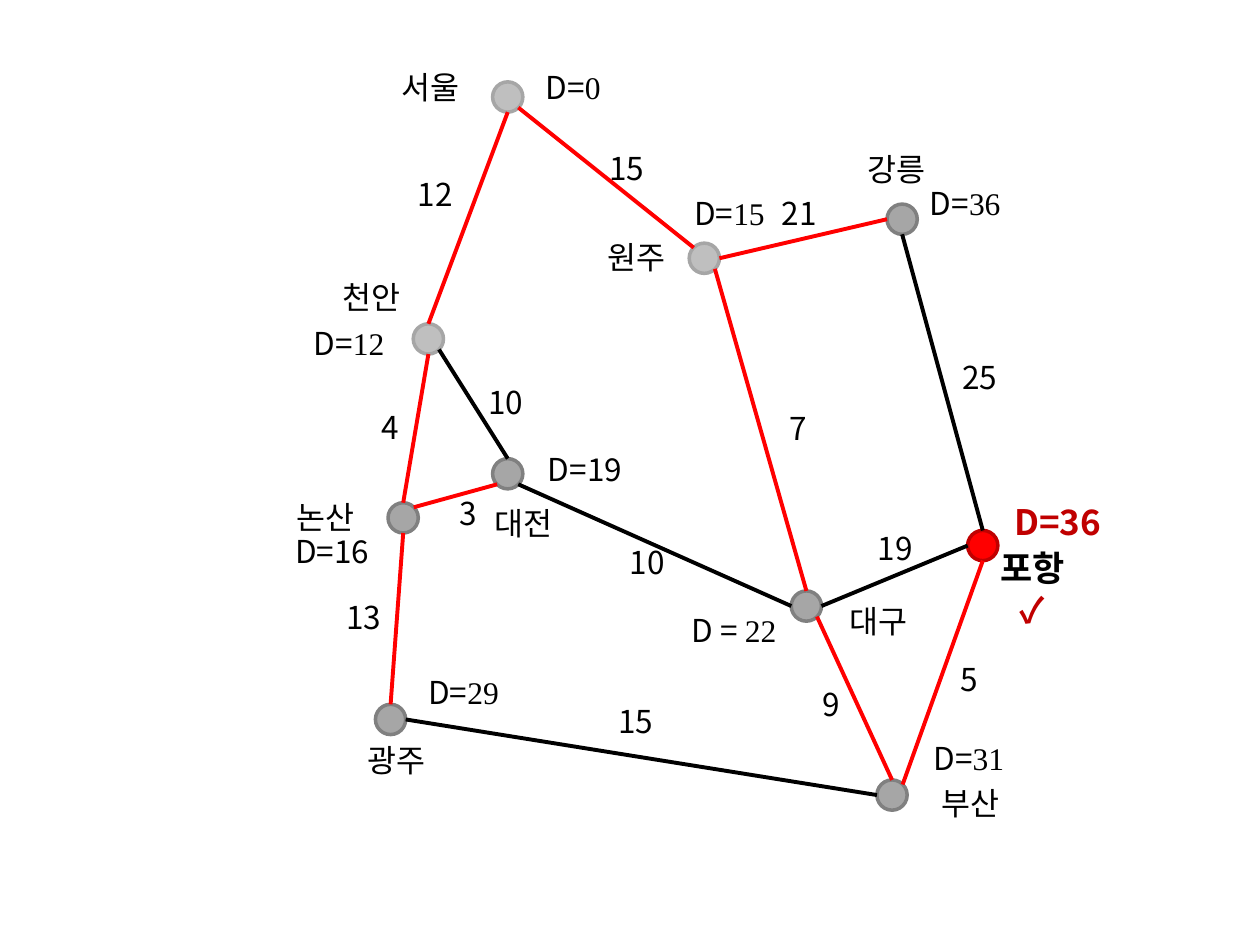
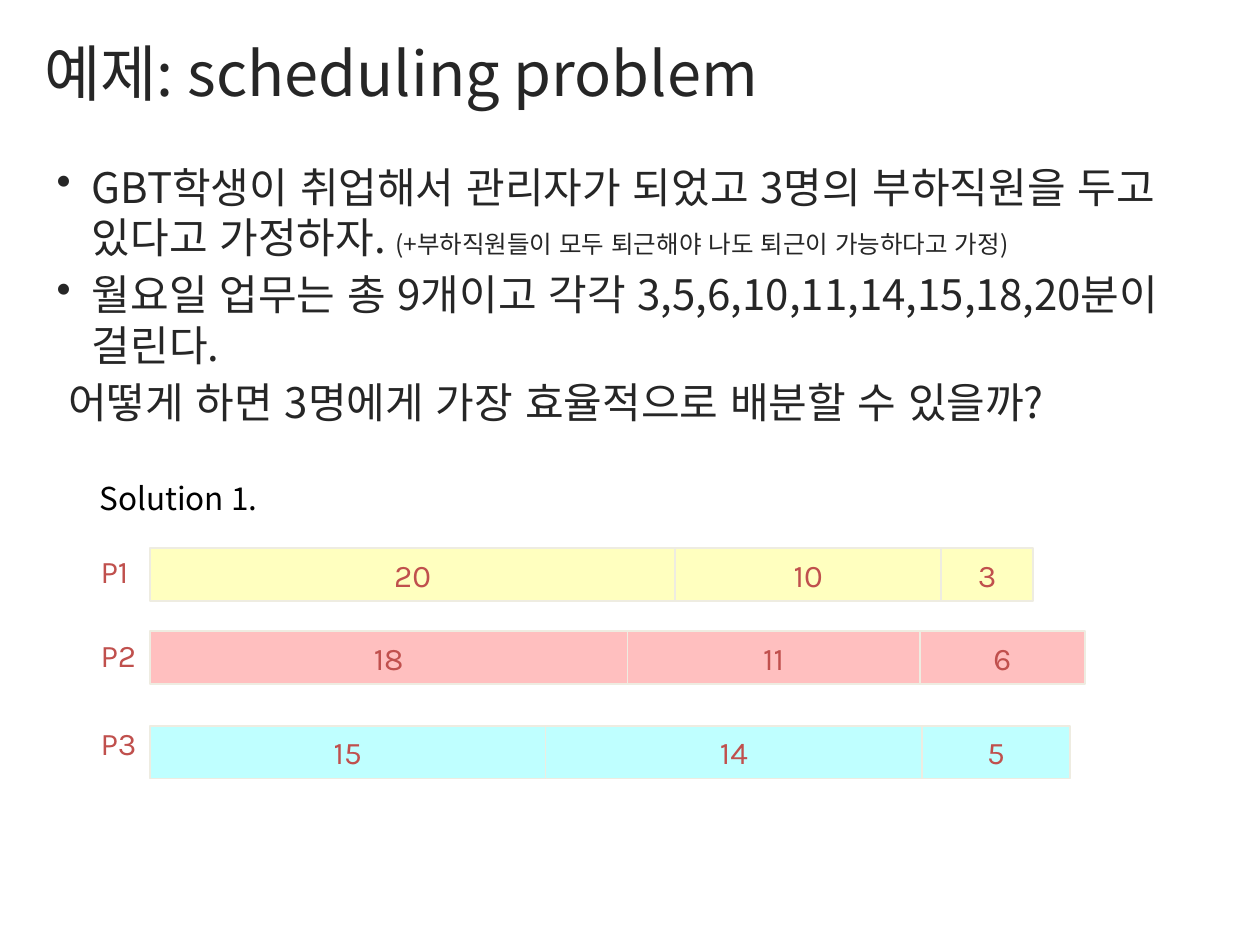
from lxml import etree
from pptx import Presentation
from pptx import util as u
from pptx.dml.color import RGBColor
from pptx.enum import lang, shapes, text
from pptx.oxml.ns import qn

BLACK = RGBColor(0x00, 0x00, 0x00)
INK = RGBColor(0x26, 0x26, 0x26)
RED = RGBColor(0xFF, 0x00, 0x00)
WINE = RGBColor(0xC0, 0x00, 0x00)
LIGHT = RGBColor(0xBF, 0xBF, 0xBF)
SILVER = RGBColor(0xA6, 0xA6, 0xA6)
GREY = RGBColor(0x80, 0x80, 0x80)
BRICK = RGBColor(0xC0, 0x50, 0x4D)
CREAM = RGBColor(0xEE, 0xEC, 0xE1)
YELLOW = RGBColor(0xFF, 0xFF, 0xBF)
PINK = RGBColor(0xFF, 0xBF, 0xBF)
AQUA = RGBColor(0xBF, 0xFF, 0xFF)

NOTO, TIMES, KARLA = "Noto Sans CJK KR", "Times New Roman", "Karla"
LEFT, MID = text.PP_ALIGN.LEFT, text.PP_ALIGN.CENTER
SIZE = 0.24
HIGH = 0.4
BAR = 0.42

NEAR, FAR, GOAL = (LIGHT, SILVER), (SILVER, GREY), (RED, WINE)
CITIES = {
    "천안": (3.28, 2.57, NEAR), "강릉": (7.04, 1.62, FAR),
    "서울": (3.91, 0.65, NEAR), "부산": (6.96, 6.19, FAR),
    "논산": (3.08, 3.99, FAR), "광주": (2.98, 5.59, FAR),
    "대구": (6.28, 4.69, FAR), "원주": (5.47, 1.93, NEAR),
    "대전": (3.91, 3.64, FAR), "포항": (7.68, 4.21, GOAL),
}
SITES = {
    "N": (0, -1), "S": (0, 1), "W": (-1, 0), "E": (1, 0),
    "NW": (-0.7, -0.7), "NE": (0.7, -0.7),
    "SW": (-0.7, 0.7), "SE": (0.7, 0.7),
}
ROADS = [
    ("서울", "S", "천안", "N", RED), ("대구", "W", "대전", "SE", BLACK),
    ("대구", "N", "원주", "SE", RED), ("포항", "W", "대구", "E", BLACK),
    ("부산", "N", "대구", "SE", RED), ("부산", "W", "광주", "E", BLACK),
    ("대전", "N", "천안", "SE", BLACK), ("대전", "SW", "논산", "NE", RED),
    ("광주", "N", "논산", "S", RED), ("강릉", "W", "원주", "E", RED),
    ("논산", "N", "천안", "S", RED), ("원주", "NW", "서울", "SE", RED),
    ("포항", "N", "강릉", "S", BLACK), ("부산", "NE", "포항", "S", RED),
]
NAMES = [
    ("서울 ", 3.06, 0.49, 0.79), ("부산", 7.22, 6.17, 0.97),
    ("광주", 2.48, 5.83, 1.33), ("논산", 2.09, 3.9, 0.99),
    ("대구", 6.58, 4.73, 0.79), ("대전", 3.76, 3.95, 0.79),
    ("천안 ", 2.59, 2.16, 0.79), ("강릉", 6.58, 1.14, 1.07),
    ("원주 ", 4.69, 1.84, 0.79),
]
COSTS = [
    ("15", 4.75, 5.52), ("10", 4.84, 4.26), ("9", 6.3, 5.39),
    ("25", 7.48, 2.79), ("13", 2.59, 4.7), ("3", 3.42, 3.87),
    ("7", 6.04, 3.2), ("15", 4.68, 1.13), ("12", 3.16, 1.34),
    ("10", 3.72, 2.99), ("4", 2.8, 3.19), ("5", 7.4, 5.19),
    ("19", 6.81, 4.15), ("21", 6.05, 1.49),
]
TOTALS = [
    ("D=", "15", 5.41, 1.49, 0.76, MID), ("D=", "36", 7.15, 1.41, 1.02, MID),
    ("D=19", "", 4.25, 3.52, 0.79, LEFT), ("D=", "12", 2.39, 2.52, 0.76, MID),
    ("D=16", "", 1.89, 4.17, 1.49, MID), ("D=", "29", 3.3, 5.29, 1.01, LEFT),
    ("D = ", "22", 5.39, 4.8, 1.43, LEFT), ("D=", "0", 4.17, 0.49, 0.76, MID),
    ("D=", "31", 7.12, 5.82, 1.14, MID),
]
TASKS = [
    ("GBT학생이 취업해서 관리자가 되었고 3명의 부하직원을 두고 있다고 가정하자. ",
     "(+부하직원들이 모두 퇴근해야 나도 퇴근이 가능하다고 가정)", True),
    ("월요일 업무는 총 9개이고 각각 3,5,6,10,11,14,15,18,20분이 걸린다.", "", True),
    (" 어떻게 하면 3명에게 가장 효율적으로 배분할 수 있을까?", "", False),
]
ROWS = [
    ("P1", 4.35, 4.33, YELLOW, [("20", 4.17), ("10", 2.11), ("3", 0.73)]),
    ("P2", 5.01, 5.0, PINK, [("18", 3.79), ("11", 2.32), ("6", 1.31)]),
    ("P3", 5.76, 5.7, AQUA, [("15", 3.14), ("14", 2.99), ("5", 1.17)]),
]


def inches(*sizes):
    """Turn numbers into lengths."""
    return [u.Inches(size) for size in sizes]


def style(para, size=18, color=BLACK, font=NOTO, bold=False, align=LEFT):
    """Set the font and alignment of a paragraph."""
    para.alignment = align
    para.font.size, para.font.bold = u.Pt(size), bold
    para.font.name = font
    para.font.color.rgb = color
    para.font.language_id = lang.MSO_LANGUAGE_ID.KOREAN
    props = para.font._element
    props.set("kern", "0")
    props.find(qn("a:latin")).addnext(etree.Element(qn("a:ea"), typeface=font))


def label(slide, words, box, **look):
    """Add a one-paragraph text box and return its paragraph."""
    shape = slide.shapes.add_textbox(*inches(*box))
    frame = shape.text_frame
    frame.word_wrap = True
    frame.auto_size = text.MSO_AUTO_SIZE.SHAPE_TO_FIT_TEXT
    para = frame.paragraphs[0]
    para.add_run().text = words
    style(para, **look)
    return para


def block(slide, kind, box, fill, edge, width):
    """Add a flat preset shape."""
    shape = slide.shapes.add_shape(kind, *inches(*box))
    shape.shadow.inherit = False
    shape.fill.solid()
    shape.fill.fore_color.rgb = fill
    shape.line.color.rgb = edge
    shape.line.width = u.Pt(width)
    return shape


def city(slide, name):
    """Draw the dot of a city."""
    x, y, (fill, edge) = CITIES[name]
    block(slide, shapes.MSO_SHAPE.OVAL, (x, y, SIZE, SIZE), fill, edge, 2)


def point(name, side):
    """Find a compass point on the rim of a city."""
    x, y, _ = CITIES[name]
    dx, dy = SITES[side]
    half = SIZE / 2
    return inches(x + half * (1 + dx), y + half * (1 + dy))


def road(slide, start, out, end, into, color):
    """Link two cities with a line."""
    line = slide.shapes.add_connector(
        shapes.MSO_CONNECTOR.STRAIGHT, *point(start, out), *point(end, into))
    line.line.color.rgb = color
    line.line.width = u.Pt(2.25)
    etree.SubElement(line._element.spPr, qn("a:effectLst"))


def graph(deck):
    """Build the slide with the shortest routes."""
    slide = deck.slides.add_slide(deck.slide_layouts[6])
    for name in CITIES:
        city(slide, name)
    for link in ROADS:
        road(slide, *link)
    for name, x, y, wide in NAMES:
        label(slide, name, (x, y, wide, HIGH), align=MID)
    for cost, x, y in COSTS:
        label(slide, cost, (x, y, 0.59, HIGH), align=MID)
    for words, digits, x, y, wide, align in TOTALS:
        para = label(slide, words, (x, y, wide, HIGH), align=align)
        if digits:
            run = para.add_run()
            run.text = digits
            run.font.name = TIMES
    para = label(slide, "포항 ", (7.8, 4.29, 0.79, 0.77), size=20, bold=True, align=MID)
    check = para.add_run()
    check.text = "✓"
    check.font.color.rgb = WINE
    label(slide, "D=36", (7.95, 3.92, 1.57, 0.44), size=20, color=WINE, bold=True)


def heading(slide, words, box):
    """Place and format the title."""
    title = slide.shapes.title
    title.left, title.top, title.width, title.height = inches(*box)
    frame = title.text_frame
    frame.text = words
    frame.word_wrap = False
    frame.auto_size = text.MSO_AUTO_SIZE.NONE
    frame.vertical_anchor = text.MSO_ANCHOR.TOP
    frame.margin_left, frame.margin_top, frame.margin_right, frame.margin_bottom = inches(
        0.35, 0.28, 0, 0)
    style(frame.paragraphs[0], size=35, color=INK)


def story(slide, box):
    """Write the task as bulleted text."""
    frame = slide.shapes.add_textbox(*inches(*box)).text_frame
    frame.word_wrap = True
    for i, (words, aside, dot) in enumerate(TASKS):
        para = frame.add_paragraph() if i else frame.paragraphs[0]
        para.add_run().text = words
        if aside:
            note = para.add_run()
            note.text = aside
            note.font.size = u.Pt(14)
        para.space_before = u.Pt(4)
        style(para, size=24, color=INK)
        props = para._p.get_or_add_pPr()
        props.set("marL", str(u.Inches(0.28)))
        props.set("indent", str(u.Inches(-0.28)))
        if dot:
            mark = etree.Element(qn("a:buChar"), char="•")
            props.find(qn("a:defRPr")).addprevious(mark)


def bars(slide, left):
    """Draw each worker's jobs as a row of bars."""
    for name, top, high, fill, jobs in ROWS:
        label(slide, name, (left - 0.49, high, 0.66, BAR), color=BRICK, font=KARLA)
        x = left
        for job, wide in jobs:
            shape = block(slide, shapes.MSO_SHAPE.RECTANGLE,
                          (x, top, wide, BAR), fill, CREAM, 1)
            frame = shape.text_frame
            frame.vertical_anchor = text.MSO_ANCHOR.MIDDLE
            para = frame.paragraphs[0]
            para.add_run().text = job
            style(para, color=BRICK, font=KARLA, align=MID)
            para.runs[0].font.color.rgb = BRICK
            x += wide


def plan(deck):
    """Build the slide with the scheduling problem."""
    slide = deck.slides.add_slide(deck.slide_layouts[5])
    story(slide, (0.35, 1.23, 9.29, 5.67))
    heading(slide, "예제: scheduling problem", (0, 0, 8.43, 0.91))
    label(slide, "Solution 1.", (0.69, 3.75, 1.6, HIGH))
    bars(slide, 1.19)


def main():
    """Build and save the deck."""
    deck = Presentation()
    deck.slide_width, deck.slide_height = inches(10, 7.5)
    graph(deck)
    plan(deck)
    deck.save("out.pptx")


if __name__ == "__main__":
    main()
